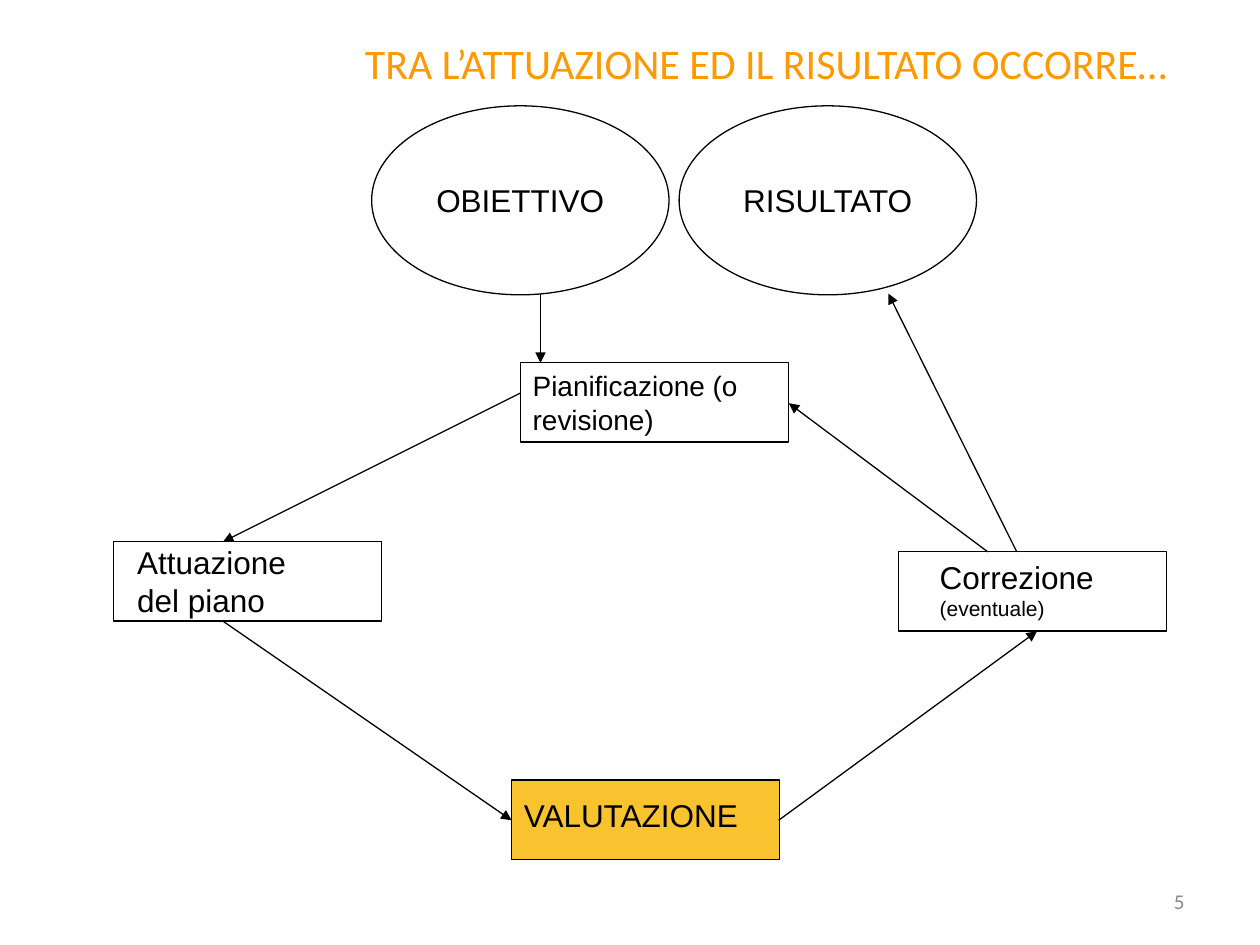
from dataclasses import dataclass

from lxml import etree
from pptx import Presentation
from pptx import util as u
from pptx.dml.color import RGBColor
from pptx.enum import shapes, text
from pptx.oxml.ns import qn


@dataclass(frozen=True)
class Theme:
    ink: str = "000000"
    accent: str = "FF9900"
    highlight: str = "F8C32E"
    muted: str = "898989"
    body_font: str = "Arial"
    title_font: str = "Calibri"
    title_size: int = 24
    label_size: int = 18
    plan_size: int = 16
    small_size: int = 12
    line_width: float = 0.74


THEME = Theme()
LEFT, CENTER, RIGHT = text.PP_ALIGN.LEFT, text.PP_ALIGN.CENTER, text.PP_ALIGN.RIGHT
TOP, MIDDLE = text.MSO_ANCHOR.TOP, text.MSO_ANCHOR.MIDDLE
BOX_SIZE = (2.13, 0.63)
ELLIPSE_SIZE = (2.36, 1.5)


def inches(*lengths):
    return [u.Inches(length) for length in lengths]


def write(shape, *lines, sizes=(THEME.label_size,), font=THEME.body_font,
          color=THEME.ink, align=LEFT, anchor=TOP, wrap=True):
    frame = shape.text_frame
    frame.word_wrap = wrap
    frame.vertical_anchor = anchor
    frame.text = "\n".join(lines)
    for index, paragraph in enumerate(frame.paragraphs):
        paragraph.alignment = align
        run_font = paragraph.runs[0].font
        run_font.name = font
        run_font.size = u.Pt(sizes[min(index, len(sizes) - 1)])
        run_font.color.rgb = RGBColor.from_string(color)


def style_line(line):
    line.color.rgb = RGBColor.from_string(THEME.ink)
    line.width = u.Pt(THEME.line_width)


def add_outline(slide, kind, left, top, size, fill=None):
    shape = slide.shapes.add_shape(kind, *inches(left, top, *size))
    shape.shadow.inherit = False
    if fill:
        shape.fill.solid()
        shape.fill.fore_color.rgb = RGBColor.from_string(fill)
    else:
        shape.fill.background()
    style_line(shape.line)
    return shape


def add_label(slide, bounds, *lines, **style):
    label = slide.shapes.add_textbox(*inches(*bounds))
    write(label, *lines, **style)


def add_arrow(slide, start, end):
    arrow = slide.shapes.add_connector(
        shapes.MSO_CONNECTOR.STRAIGHT, *inches(*start, *end))
    style_line(arrow.line)
    etree.SubElement(arrow.line._get_or_add_ln(), qn("a:tailEnd"), type="triangle")
    etree.SubElement(arrow._element.spPr, qn("a:effectLst"))


def add_title(slide, words):
    title = slide.shapes.title
    title.left, title.top, title.width, title.height = inches(2.16, 0, 7.84, 0.99)
    write(title, words, sizes=(THEME.title_size,), font=THEME.title_font,
          color=THEME.accent, align=CENTER, anchor=MIDDLE)


def main():
    presentation = Presentation()
    presentation.slide_width, presentation.slide_height = inches(10, 7.5)
    slide = presentation.slides.add_slide(presentation.slide_layouts[5])

    add_title(slide, "TRA L’ATTUAZIONE ED IL RISULTATO OCCORRE…")
    add_label(slide, (7.17, 6.95, 2.33, 0.4), "5", sizes=(THEME.small_size,),
              font=THEME.title_font, color=THEME.muted, align=RIGHT, anchor=MIDDLE)

    for left, words in ((2.95, "OBIETTIVO"), (5.39, "RISULTATO")):
        ellipse = add_outline(slide, shapes.MSO_SHAPE.OVAL, left, 0.84, ELLIPSE_SIZE)
        write(ellipse, words, align=CENTER, anchor=MIDDLE, wrap=False)

    for left, top, fill in ((4.13, 2.88, None), (0.9, 4.3, None),
                            (7.13, 4.38, None), (4.06, 6.19, THEME.highlight)):
        add_outline(slide, shapes.MSO_SHAPE.RECTANGLE, left, top, BOX_SIZE, fill)

    label, small = THEME.label_size, THEME.small_size
    for bounds, lines, sizes in (
        ((4.13, 2.88, 2.13, 0.64), ["Pianificazione (o revisione)"], (THEME.plan_size,)),
        ((0.99, 4.26, 1.38, 0.7), ["Attuazione", "del piano"], (label,)),
        ((7.36, 4.38, 1.42, 0.6), ["Correzione", "(eventuale)"], (label, small)),
        ((4.06, 6.27, 2.13, 0.4), ["VALUTAZIONE"], (label,)),
    ):
        add_label(slide, bounds, *lines, sizes=sizes)

    for start, end in (
        ((4.29, 2.33), (4.29, 2.88)),
        ((4.13, 3.12), (1.77, 4.3)),
        ((1.77, 4.93), (4.06, 6.51)),
        ((6.18, 6.51), (8.23, 5.01)),
        ((7.84, 4.38), (6.26, 3.2)),
        ((8.07, 4.38), (7.05, 2.33)),
    ):
        add_arrow(slide, start, end)

    presentation.save("out.pptx")


main()
